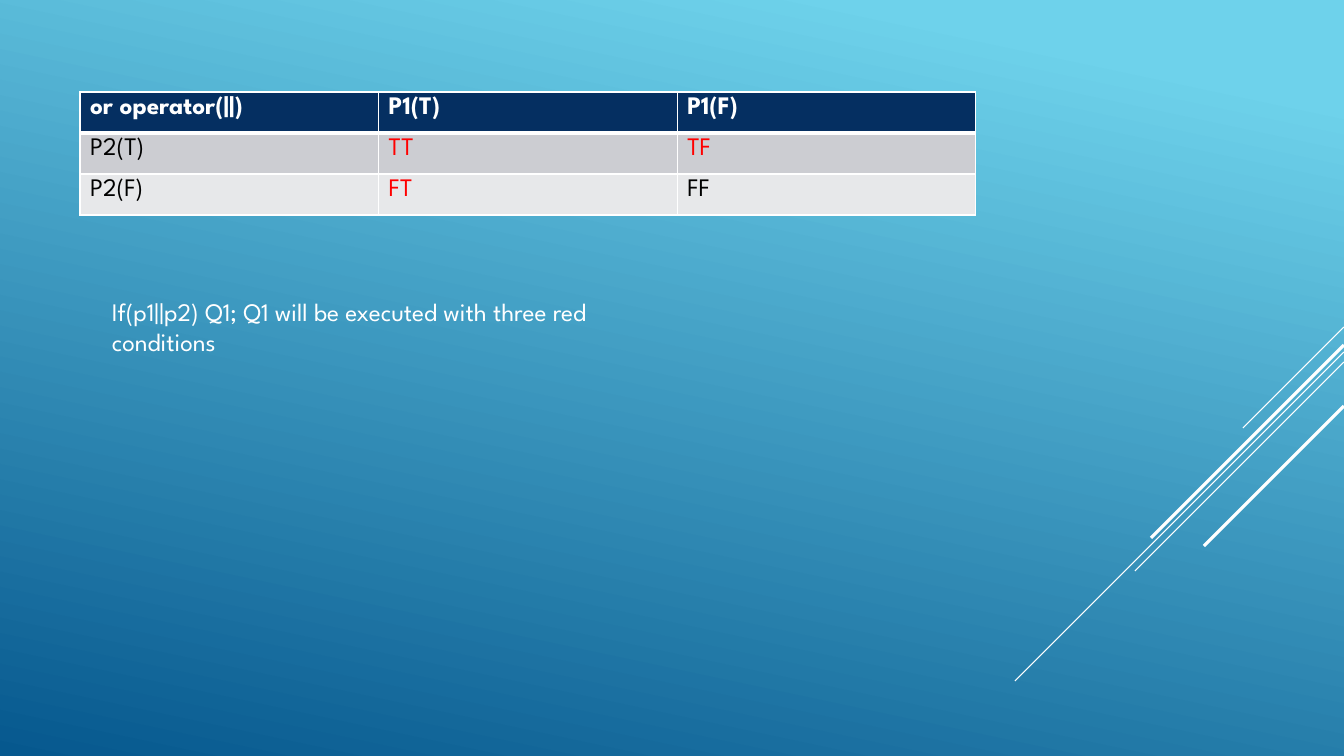
from lxml import etree
from pptx import Presentation
from pptx import util as u
from pptx.dml.color import RGBColor
from pptx.enum import shapes, text
from pptx.oxml import ns

SCALE = 914400 / 100.8
FONT = "League Spartan"
WHITE = RGBColor(0xFF, 0xFF, 0xFF)
BLACK = RGBColor(0, 0, 0)
RED = RGBColor(0xFF, 0, 0)
NAVY = RGBColor(0x05, 0x2F, 0x61)
GREY = RGBColor(0xCC, 0xCD, 0xD2)
PALE_GREY = RGBColor(0xE7, 0xE8, 0xEA)
SKY = RGBColor(0x6E, 0xD2, 0xEB)
OCEAN = RGBColor(0x06, 0x58, 0x8E)

# Start x and y, end x and y, width in points
STRIPES = [
    (1344, 327, 1243, 428, 0.75),
    (1344, 352, 1015, 681, 0.75),
    (1344, 362, 1135, 571, 0.75),
    (1344, 345, 1151, 538, 2.25),
    (1344, 406, 1204, 546, 2.25),
]
TRUTH_TABLE = [
    ["or operator(||)", "P1(T)", "P1(F)"],
    ["P2(T)", "TT", "TF"],
    ["P2(F)", "FT", "FF"],
]
ROW_FILLS = [NAVY, GREY, PALE_GREY]
RED_VALUES = {"TT", "TF", "FT"}


def px(pixels):
    return u.Emu(round(pixels * SCALE))


def paint_background(page):
    fill = page.background.fill
    fill.gradient()
    fill.gradient_angle = 360 - 102
    for stop, color, position in zip(fill.gradient_stops, (SKY, OCEAN), (0.1, 1)):
        stop.color.rgb = color
        stop.position = position


def add_stripe(page, x1, y1, x2, y2, width):
    stripe = page.shapes.add_connector(
        shapes.MSO_CONNECTOR.STRAIGHT, px(x1), px(y1), px(x2), px(y2))
    stripe.line.color.rgb = WHITE
    stripe.line.width = u.Pt(width)
    etree.SubElement(stripe._element.spPr, ns.qn("a:effectLst"))


def write(para, words, color, bold=False):
    para.text = words
    para.font.name = FONT
    para.font.size = u.Pt(18)
    para.font.bold = bold
    para.font.color.rgb = color


def set_borders(cell, **widths):
    """Draw white cell borders; widths are in points, keyed by side."""
    properties = cell._tc.get_or_add_tcPr()
    for index, (side, width) in enumerate(widths.items()):
        line = etree.Element(ns.qn("a:ln" + side), w=str(u.Pt(width)))
        solid = etree.SubElement(line, ns.qn("a:solidFill"))
        etree.SubElement(solid, ns.qn("a:srgbClr"), val=str(WHITE))
        properties.insert(index, line)


def add_truth_table(page, left, top, width, height):
    rows, columns = len(TRUTH_TABLE), len(TRUTH_TABLE[0])
    table = page.shapes.add_table(
        rows, columns, px(left), px(top), px(width), px(height)).table
    for row, values in enumerate(TRUTH_TABLE):
        header = row == 0
        for column, value in enumerate(values):
            cell = table.cell(row, column)
            cell.fill.solid()
            cell.fill.fore_color.rgb = ROW_FILLS[row]
            color = WHITE if header else RED if value in RED_VALUES else BLACK
            write(cell.text_frame.paragraphs[0], value, color, bold=header)
            set_borders(cell, L=1, R=1, T=3 if row == 1 else 1, B=3 if header else 1)


def add_caption(page, words, left, top, width, height):
    box = page.shapes.add_textbox(px(left), px(top), px(width), px(height))
    frame = box.text_frame
    frame.word_wrap = True
    frame.auto_size = text.MSO_AUTO_SIZE.SHAPE_TO_FIT_TEXT
    write(frame.paragraphs[0], words, WHITE)


def main():
    deck = Presentation()
    deck.slide_width, deck.slide_height = px(1344), px(756)
    page = deck.slides.add_slide(deck.slide_layouts[6])

    # Backdrop
    paint_background(page)
    for stripe in STRIPES:
        add_stripe(page, *stripe)

    # Content
    add_truth_table(page, 80, 92, 896, 123)
    add_caption(page, "If(p1||p2) Q1; Q1 will be executed with three red conditions",
                102, 291, 524, 72)

    deck.save("out.pptx")


main()
